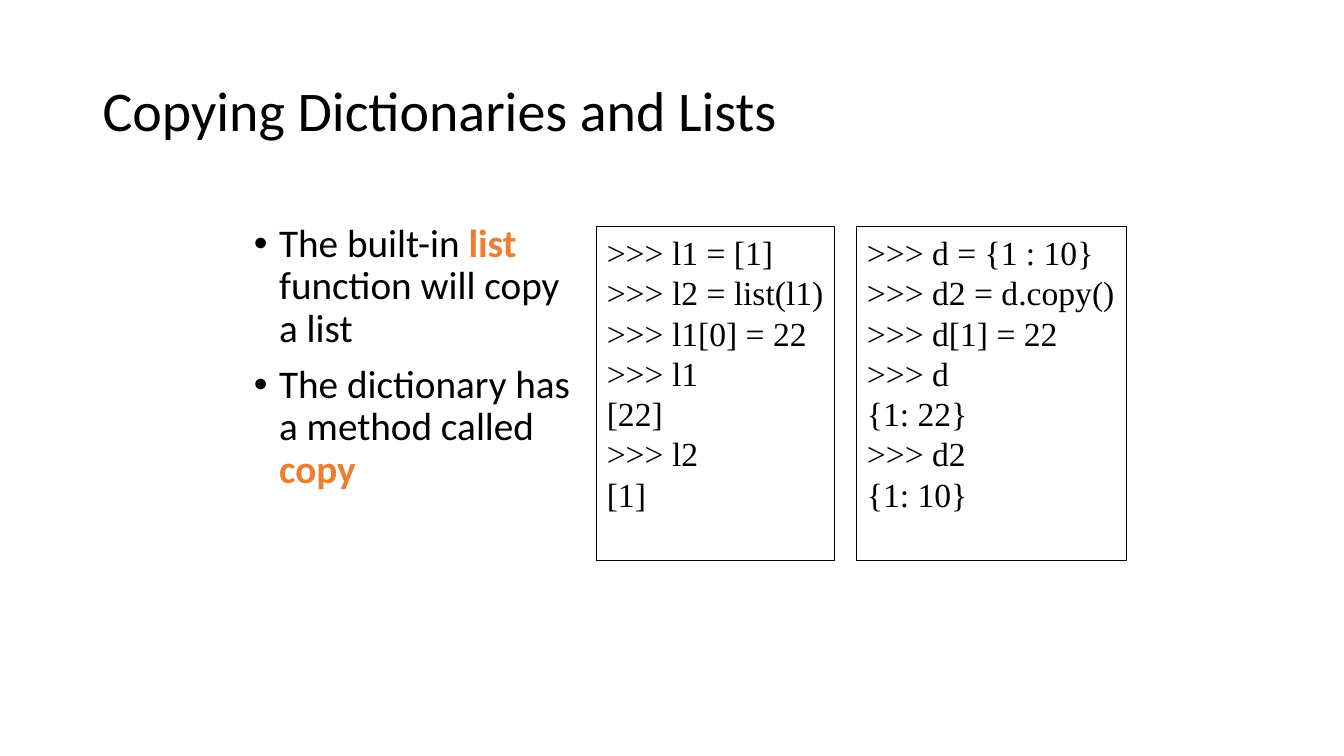
from lxml.etree import SubElement
from pptx import Presentation
from pptx.dml.color import RGBColor
from pptx.enum.text import MSO_ANCHOR, MSO_AUTO_SIZE
from pptx.oxml.ns import qn
from pptx.util import Inches, Pt

BLACK = RGBColor(0x00, 0x00, 0x00)
ORANGE = RGBColor(0xED, 0x7D, 0x31)

BULLETS = [
    [("The built-in ", False), ("list", True), (" function will copy a list", False)],
    [("The dictionary has a method called ", False), ("copy", True)],
]
LISTINGS = [
    (5.92, 2.36, [">>> l1 = [1]", ">>> l2 = list(l1)", ">>> l1[0] = 22",
                  ">>> l1", "[22]", ">>> l2", "[1]"]),
    (8.5, 2.67, [">>> d = {1 : 10}", ">>> d2 = d.copy()", ">>> d[1] = 22",
                 ">>> d", "{1: 22}", ">>> d2", "{1: 10}"]),
]


def add_box(left, top, width, height, wrap=True):
    """Add a text box of fixed size, measured in inches."""
    box = slide.shapes.add_textbox(Inches(left), Inches(top), Inches(width), Inches(height))
    box.text_frame.word_wrap = wrap
    box.text_frame.auto_size = MSO_AUTO_SIZE.NONE
    return box


def style(para, name, size):
    """Set the font of a whole paragraph in black."""
    para.font.name = name
    para.font.size = Pt(size)
    para.font.color.rgb = BLACK


deck = Presentation()
deck.slide_width = Inches(13.33)
deck.slide_height = Inches(7.5)
slide = deck.slides.add_slide(deck.slide_layouts[6])

# Title
title = add_box(0.92, 0.4, 11.5, 1.45).text_frame
title.vertical_anchor = MSO_ANCHOR.MIDDLE
title.text = "Copying Dictionaries and Lists"
title.paragraphs[0].line_spacing = 0.9
style(title.paragraphs[0], "Calibri", 40)

# Bullets with highlighted function names
body = add_box(2.42, 2.17, 3.42, 3.24).text_frame
for index, pieces in enumerate(BULLETS):
    para = body.add_paragraph() if index else body.paragraphs[0]
    para.line_spacing = 0.9
    para.space_before = Pt(10)
    style(para, "Calibri", 28)
    properties = para._p.get_or_add_pPr()
    properties.set("marL", str(Inches(0.25)))
    properties.set("indent", str(-Inches(0.25)))
    bullet_font = SubElement(properties, qn("a:buFont"), typeface="Arial")
    bullet = SubElement(properties, qn("a:buChar"), char="•")
    # The schema wants bullets ahead of the default run properties
    properties.find(qn("a:defRPr")).addprevious(bullet_font)
    bullet_font.addnext(bullet)
    for text, highlighted in pieces:
        span = para.add_run()
        span.text = text
        if highlighted:
            span.font.bold = True
            span.font.color.rgb = ORANGE

# Code listings
for left, width, lines in LISTINGS:
    listing = add_box(left, 2.25, width, 3.31, wrap=False)
    listing.line.color.rgb = BLACK
    listing.line.width = Pt(0.75)
    listing.text_frame.text = "\n".join(lines)
    for para in listing.text_frame.paragraphs:
        style(para, "Times New Roman", 24)

deck.save("out.pptx")
